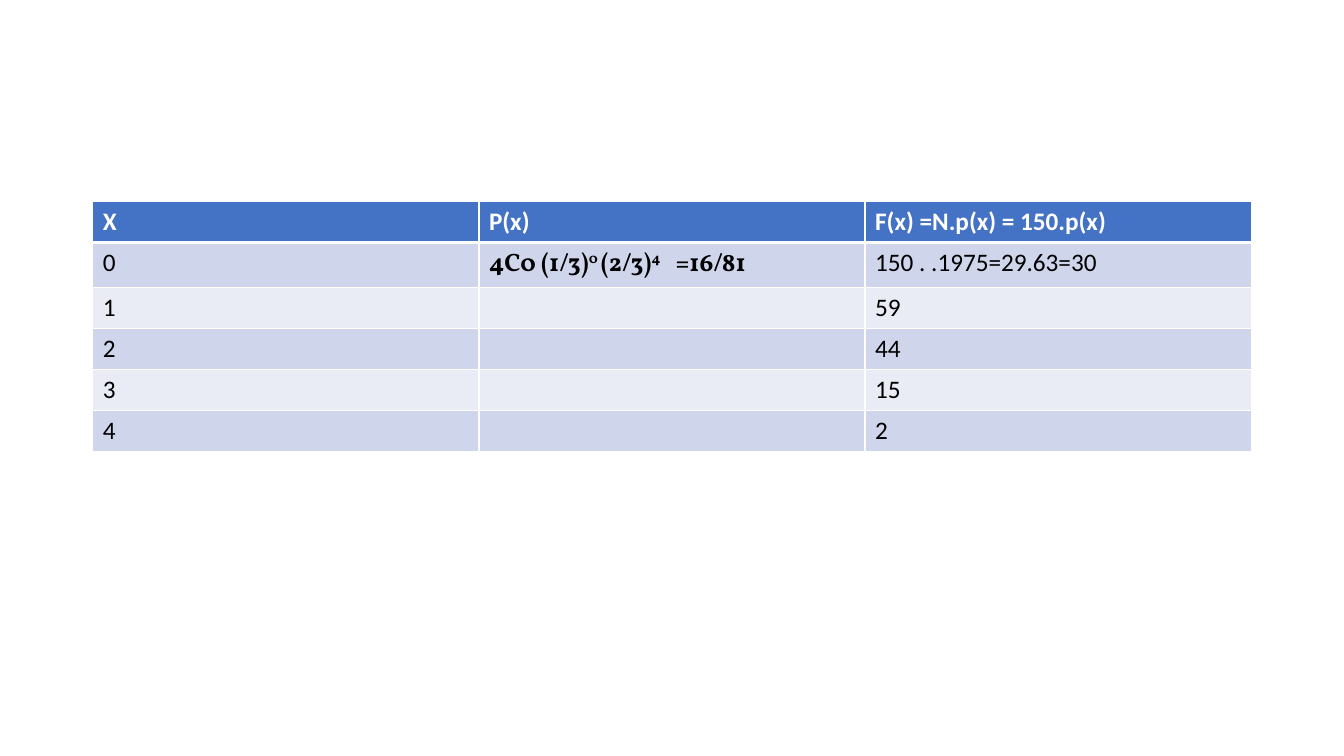
from dataclasses import dataclass

from lxml import etree
from pptx import Presentation, util as u
from pptx.dml.color import RGBColor
from pptx.oxml.ns import qn


@dataclass(frozen=True)
class Theme:
    header: str = "4472C4"
    bands: tuple = ("CFD5EA", "E9EBF5")
    rule: str = "FFFFFF"
    header_text: str = "FFFFFF"
    body_text: str = "000000"
    font: str = "Calibri"
    formula_font: str = "Vollkorn"
    size: int = 18
    superscript: int = 30
    thin: int = 1
    thick: int = 3


class Deck:
    WIDTH, HEIGHT = 13.33, 7.5
    MARGIN, ROW = 0.92, 0.405

    def __init__(self, theme):
        self.theme = theme
        self.prs = Presentation()
        self.prs.slide_width = u.Inches(self.WIDTH)
        self.prs.slide_height = u.Inches(self.HEIGHT)
        self.s = self.prs.slides.add_slide(self.prs.slide_layouts[6])

    def table(self, top, rows):
        width = self.WIDTH - 2 * self.MARGIN
        n_rows, n_cols = len(rows), len(rows[0])
        tbl = self.s.shapes.add_table(
            n_rows, n_cols, u.Inches(self.MARGIN), u.Inches(top),
            u.Inches(width), u.Inches(self.ROW * n_rows)).table
        for i, row in enumerate(rows):
            for j, content in enumerate(row):
                self.cell(tbl.cell(i, j), i, content)
        return tbl

    def cell(self, cell, row, content):
        t = self.theme
        self.border(cell, "L", t.thin)
        self.border(cell, "R", t.thin)
        self.border(cell, "T", t.thick if row == 1 else t.thin)
        self.border(cell, "B", t.thick if row == 0 else t.thin)
        fill = t.header if row == 0 else t.bands[(row - 1) % 2]
        cell.fill.solid()
        cell.fill.fore_color.rgb = RGBColor.from_string(fill)
        p = cell.text_frame.paragraphs[0]
        p.font.size = u.Pt(t.size)
        formula = isinstance(content, list)
        pieces = content if formula else [(content, False)]
        for words, raised in pieces:
            if words:
                self.run(p, words, row == 0, formula, raised)

    def run(self, p, words, header, formula, raised):
        t = self.theme
        r = p.add_run()
        r.text = words
        r.font.name = t.formula_font if formula else t.font
        r.font.size = u.Pt(t.size)
        r.font.bold = header or formula
        color = t.header_text if header else t.body_text
        r.font.color.rgb = RGBColor.from_string(color)
        if raised:
            r._r.get_or_add_rPr().set("baseline", str(t.superscript * 1000))

    def border(self, cell, side, points):
        props = cell._tc.get_or_add_tcPr()
        ln = etree.SubElement(props, qn("a:ln" + side), w=str(u.Pt(points)))
        fill = etree.SubElement(ln, qn("a:solidFill"))
        etree.SubElement(fill, qn("a:srgbClr"), val=self.theme.rule)

    def save(self):
        self.prs.save("out.pptx")


FORMULA = [("4C0 (1/3)", False), ("0 ", True), ("(2/3)", False),
           ("4", True), ("\u00a0 \u00a0=16/81", False)]
ROWS = [
    ("X", "P(x)", "F(x) =N.p(x) = 150.p(x)"),
    ("0", FORMULA, "150 . .1975=29.63=30"),
    ("1", "", "59"),
    ("2", "", "44"),
    ("3", "", "15"),
    ("4", "", "2"),
]

deck = Deck(Theme())
deck.table(2, ROWS)
deck.save()
